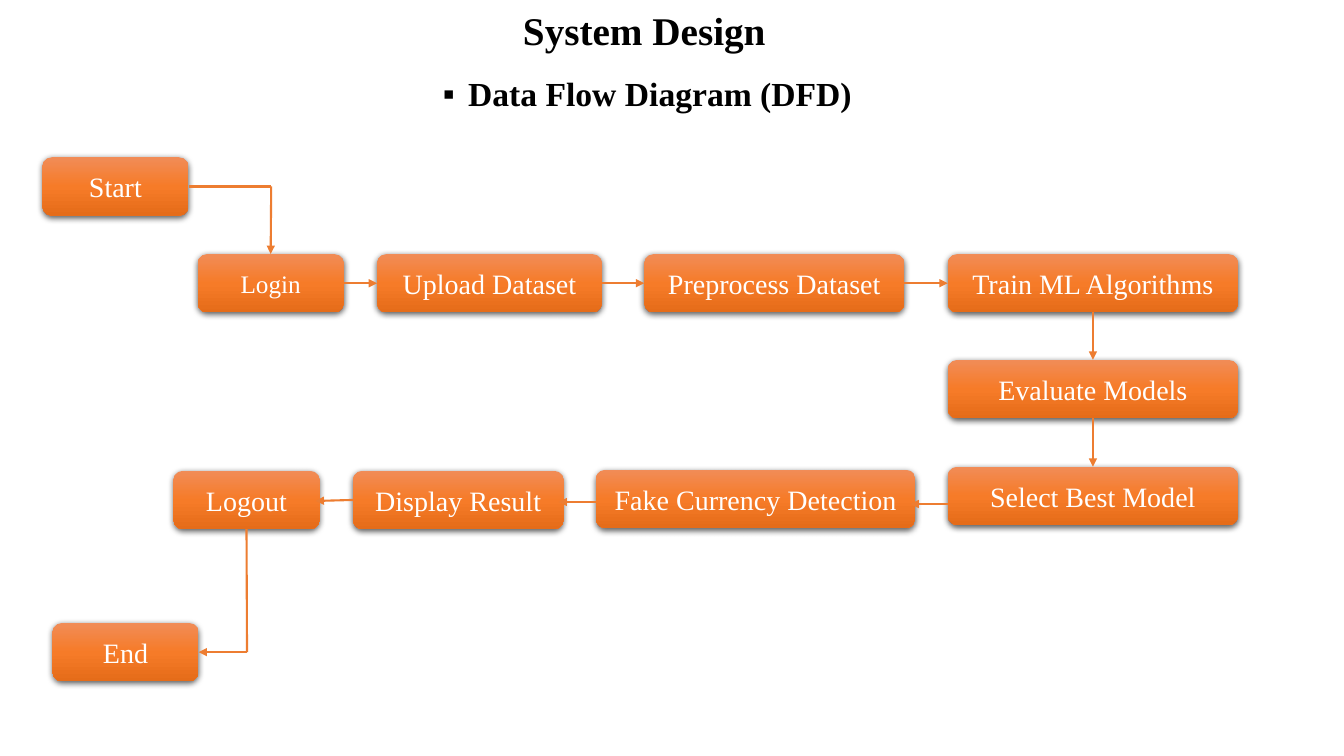
from dataclasses import dataclass
from typing import NamedTuple, Union

from lxml import etree
from pptx import Presentation
from pptx.dml.color import RGBColor
from pptx.enum.shapes import MSO_CONNECTOR, MSO_SHAPE
from pptx.enum.text import MSO_ANCHOR, MSO_AUTO_SIZE, PP_ALIGN
from pptx.oxml.ns import qn
from pptx.util import Inches, Pt

STRAIGHT = MSO_CONNECTOR.STRAIGHT
ROUNDED = MSO_SHAPE.ROUNDED_RECTANGLE
CENTER = PP_ALIGN.CENTER
MIDDLE = MSO_ANCHOR.MIDDLE
TOP_ANCHOR = MSO_ANCHOR.TOP
NO_AUTOFIT = MSO_AUTO_SIZE.NONE

TOP, LEFT, BOTTOM, RIGHT = range(4)
FONT = "Times New Roman"
STEP_HEIGHT = 0.58
COLORS = {
    "white": "FFFFFF",
    "black": "000000",
    "flow": "ED7D31",
    "step_top": "F18C57",
    "step_middle": "F67B28",
    "step_bottom": "E56C19",
}
STEP_GRADIENT = {0: "step_top", 50: "step_middle", 100: "step_bottom"}


@dataclass(frozen=True)
class Step:
    label: str
    left: float
    top: float
    width: float = 1.45
    size: int = 20


class Point(NamedTuple):
    x: float
    y: float


class Joint(NamedTuple):
    label: str
    side: int


@dataclass(frozen=True)
class Flow:
    start: Union[Point, Joint]
    end: Union[Point, Joint]
    arrow: bool = True


STEPS = [
    Step("Start", 0.42, 1.56),
    Step("Login", 1.96, 2.52, size=18),
    Step("Upload Dataset", 3.74, 2.52, 2.23),
    Step("Preprocess Dataset", 6.39, 2.52, 2.58),
    Step("Train ML Algorithms", 9.4, 2.52, 2.88),
    Step("Evaluate Models", 9.4, 3.57, 2.88),
    Step("Select Best Model", 9.4, 4.63, 2.88),
    Step("Fake Currency Detection", 5.91, 4.66, 3.17),
    Step("Display Result", 3.5, 4.67, 2.09),
    Step("Logout", 1.72, 4.67),
    Step("End", 0.52, 6.18),
]
LOGIN_BEND = Point(2.69, 1.85)
LOGOUT_BEND = Point(2.45, 6.47)
FLOWS = [
    Flow(Joint("Start", RIGHT), LOGIN_BEND, arrow=False),
    Flow(LOGIN_BEND, Joint("Login", TOP)),
    Flow(Joint("Login", RIGHT), Joint("Upload Dataset", LEFT)),
    Flow(Joint("Upload Dataset", RIGHT), Joint("Preprocess Dataset", LEFT)),
    Flow(Joint("Preprocess Dataset", RIGHT), Joint("Train ML Algorithms", LEFT)),
    Flow(Joint("Train ML Algorithms", BOTTOM), Joint("Evaluate Models", TOP)),
    Flow(Joint("Evaluate Models", BOTTOM), Joint("Select Best Model", TOP)),
    Flow(Point(9.4, 5), Point(9.03, 5)),
    Flow(Point(5.91, 4.98), Point(5.54, 4.98)),
    Flow(Joint("Display Result", LEFT), Point(3.13, 4.97)),
    Flow(Joint("Logout", BOTTOM), LOGOUT_BEND, arrow=False),
    Flow(LOGOUT_BEND, Joint("End", RIGHT)),
]


def rgb(name: str) -> RGBColor:
    return RGBColor.from_string(COLORS[name])


def add_color(parent, name: str):
    return etree.SubElement(parent, qn("a:srgbClr"), val=COLORS[name])


def write_text(shape, text: str, size: int, color: str, bold: bool = False):
    frame = shape.text_frame
    frame.text = text
    frame.word_wrap = True
    frame.auto_size = NO_AUTOFIT
    frame.vertical_anchor = MIDDLE
    paragraph = frame.paragraphs[0]
    paragraph.alignment = CENTER
    font = paragraph.runs[0].font
    font.name = FONT
    font.size = Pt(size)
    font.bold = bold
    font.color.rgb = rgb(color)
    return paragraph


def style_heading(shape, text: str, size: int):
    shape.fill.solid()
    shape.fill.fore_color.rgb = rgb("white")
    shape.line.color.rgb = rgb("white")
    shape.line.width = Pt(1)
    paragraph = write_text(shape, text, size, "black", bold=True)
    paragraph.line_spacing = 0.9
    return paragraph


def add_headings(slide) -> None:
    title = slide.shapes.title
    title.left, title.top = Inches(0.4), Inches(0.04)
    title.width, title.height = Inches(11.98), Inches(0.58)
    style_heading(title, "System Design", 28)

    subtitle = slide.shapes.add_textbox(
        Inches(0.42), Inches(0.72), Inches(12), Inches(6.04)
    )
    paragraph = style_heading(subtitle, "Data Flow Diagram (DFD)", 24)
    subtitle.text_frame.vertical_anchor = TOP_ANCHOR
    properties = paragraph._p.get_or_add_pPr()
    properties.set("marL", str(Inches(0.25)))
    properties.set("indent", str(Inches(-0.25)))
    etree.SubElement(properties, qn("a:buFont"), typeface="Arial")
    etree.SubElement(properties, qn("a:buChar"), char="▪")


def add_step(slide, step: Step):
    box = slide.shapes.add_shape(
        ROUNDED, Inches(step.left), Inches(step.top),
        Inches(step.width), Inches(STEP_HEIGHT),
    )
    box.fill.gradient()
    box.fill.gradient_angle = 270
    stops = box._element.spPr.find(".//" + qn("a:gsLst"))
    for stop in list(stops):
        stops.remove(stop)
    for percent, color in STEP_GRADIENT.items():
        add_color(etree.SubElement(stops, qn("a:gs"), pos=str(percent * 1000)), color)
    box.line.fill.background()
    box.shadow.inherit = False
    shadow = etree.SubElement(
        box._element.spPr.find(qn("a:effectLst")), qn("a:outerShdw"),
        blurRad=str(Pt(4.5)), dist=str(Pt(1.5)), dir="5400000",
        algn="ctr", rotWithShape="0",
    )
    etree.SubElement(add_color(shadow, "black"), qn("a:alpha"), val="63000")
    write_text(box, step.label, step.size, "white")
    return box


def locate(end: Union[Point, Joint], boxes: dict) -> tuple[int, int]:
    if isinstance(end, Point):
        return Inches(end.x), Inches(end.y)
    box = boxes[end.label]
    across = {LEFT: 0, RIGHT: box.width}.get(end.side, box.width // 2)
    down = {TOP: 0, BOTTOM: box.height}.get(end.side, box.height // 2)
    return box.left + across, box.top + down


def add_flow(slide, flow: Flow, boxes: dict) -> None:
    connector = slide.shapes.add_connector(
        STRAIGHT, *locate(flow.start, boxes), *locate(flow.end, boxes)
    )
    if isinstance(flow.start, Joint):
        connector.begin_connect(boxes[flow.start.label], flow.start.side)
    if isinstance(flow.end, Joint):
        connector.end_connect(boxes[flow.end.label], flow.end.side)
    connector.line.color.rgb = rgb("flow")
    connector.line.width = Pt(1.5)
    if flow.arrow:
        etree.SubElement(connector.line._get_or_add_ln(), qn("a:tailEnd"), type="triangle")
    etree.SubElement(connector._element.spPr, qn("a:effectLst"))


def main() -> None:
    presentation = Presentation()
    presentation.slide_width = Inches(13.33)
    presentation.slide_height = Inches(7.5)
    slide = presentation.slides.add_slide(presentation.slide_layouts[5])
    add_headings(slide)
    boxes = {step.label: add_step(slide, step) for step in STEPS}
    for flow in FLOWS:
        add_flow(slide, flow, boxes)
    presentation.save("out.pptx")


if __name__ == "__main__":
    main()
